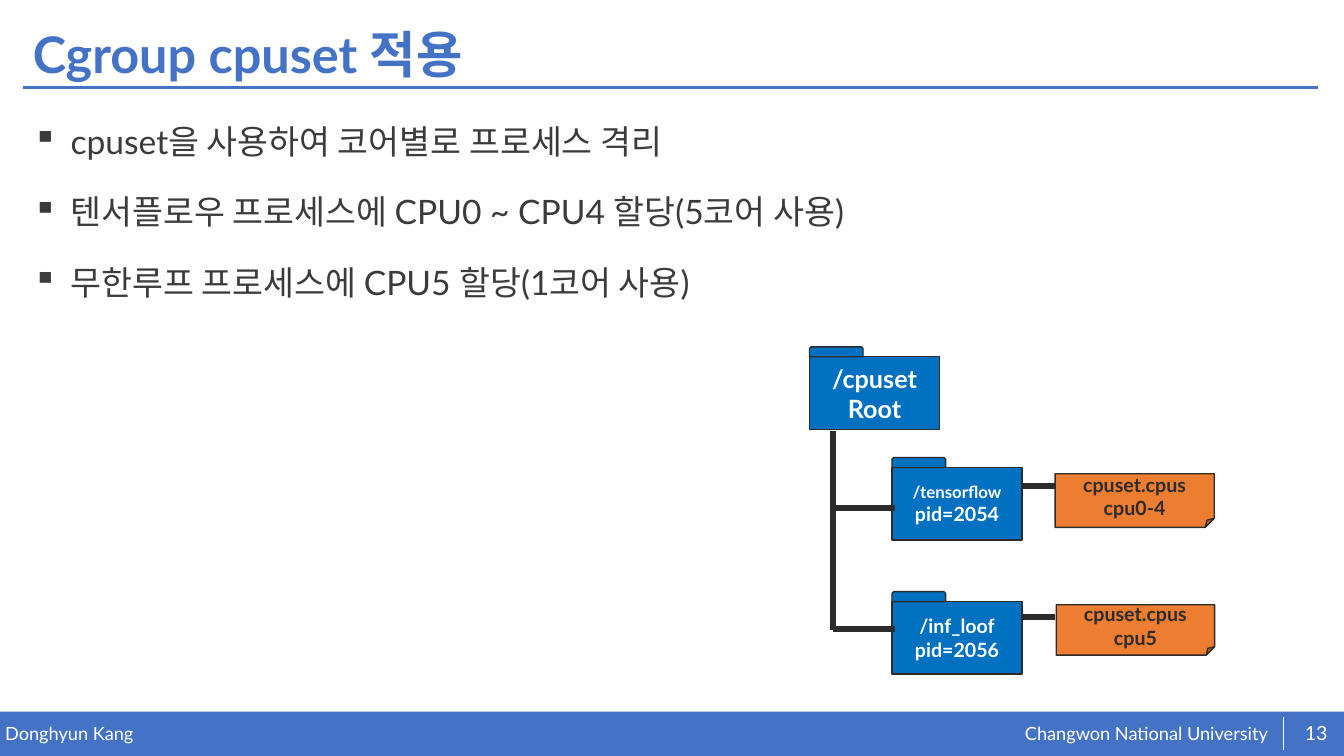
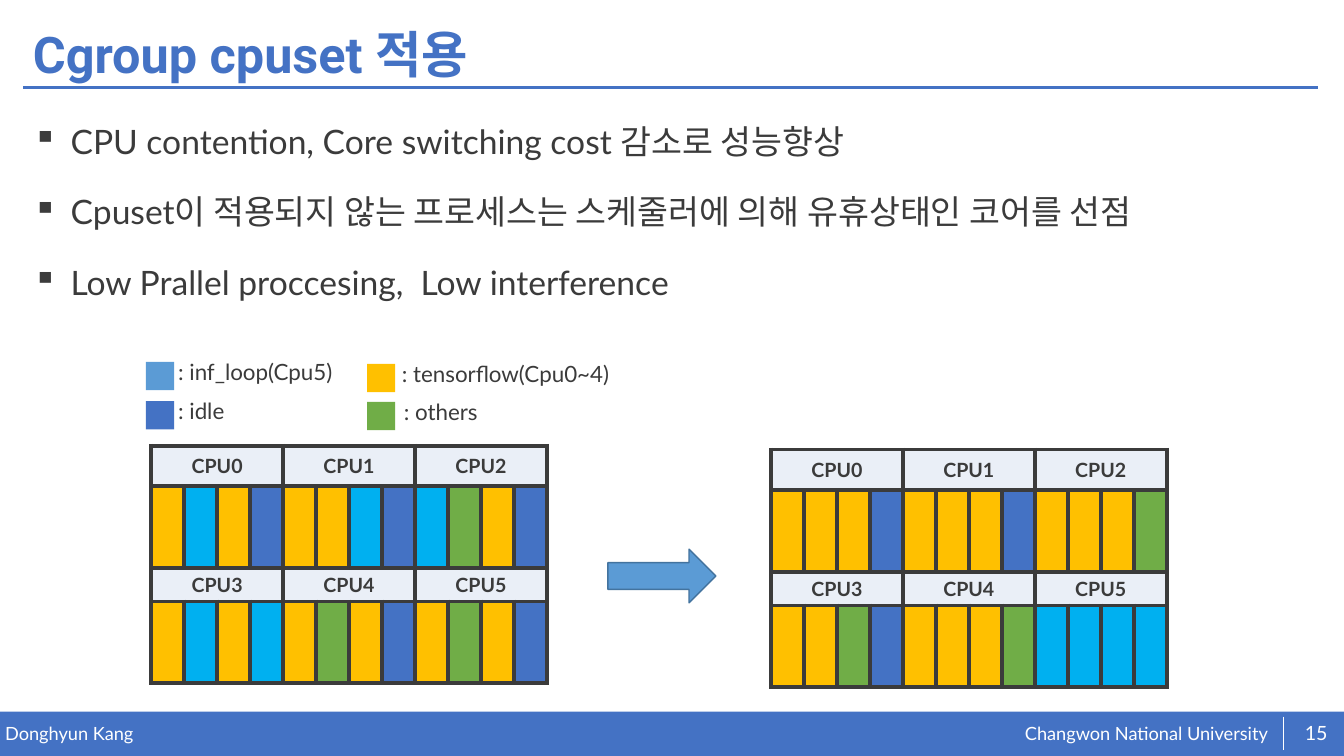
from dataclasses import dataclass
from typing import Optional

from lxml import etree
from pptx import Presentation
from pptx.dml.color import RGBColor
from pptx.enum.shapes import MSO_CONNECTOR, MSO_SHAPE
from pptx.enum.text import MSO_ANCHOR, PP_ALIGN
from pptx.oxml.ns import qn
from pptx.util import Cm, Pt

RECT, TAB = MSO_SHAPE.RECTANGLE, MSO_SHAPE.SNIP_2_SAME_RECTANGLE
NOTE, ARROW = MSO_SHAPE.FOLDED_CORNER, MSO_SHAPE.RIGHT_ARROW
LEFT, CENTER = PP_ALIGN.LEFT, PP_ALIGN.CENTER
TOP, MIDDLE = MSO_ANCHOR.TOP, MSO_ANCHOR.MIDDLE
STRAIGHT = MSO_CONNECTOR.STRAIGHT


# Colours, fonts and type sizes
@dataclass(frozen=True)
class Theme:
    font: str = "Lato"
    blue: str = "4472C4"
    white: str = "FFFFFF"
    text: str = "3B3B3B"
    ink: str = "2C2C2C"
    folder: str = "0070C0"
    orange: str = "ED7D31"
    sky: str = "5B9BD5"
    edge: str = "43739E"
    cyan: str = "00B0F0"
    gold: str = "FFC000"
    green: str = "70AD47"
    pale: str = "EAEFF7"
    title: int = 36
    body: int = 24
    root: int = 18
    key: int = 16
    label: int = 14
    foot: int = 13
    small: int = 12


T = Theme()
CORES = {"t": T.gold, "l": T.cyan, "i": T.blue, "o": T.green}


@dataclass(frozen=True)
class Box:
    x: float
    y: float
    w: float
    h: float

    def lengths(self) -> tuple:
        return Cm(self.x), Cm(self.y), Cm(self.w), Cm(self.h)


@dataclass(frozen=True)
class Line:
    text: str
    size: int
    color: str = T.text
    bold: bool = False
    font: str = T.font


@dataclass(frozen=True)
class Folder:
    x: float
    y: float
    lines: list[Line]


@dataclass(frozen=True)
class Note:
    box: Box
    value: str


@dataclass(frozen=True)
class Key:
    x: float
    y: float
    gap: float
    color: str
    label: str


@dataclass(frozen=True)
class Grid:
    x: float
    y: float
    loads: tuple[str, str]


# Basic drawing
def rgb(code: str) -> RGBColor:
    return RGBColor.from_string(code)


def write(frame, lines: list[Line], align=LEFT, anchor=TOP) -> None:
    frame.word_wrap = True
    frame.vertical_anchor = anchor
    for i, line in enumerate(lines):
        para = frame.add_paragraph() if i else frame.paragraphs[0]
        para.text = line.text
        para.alignment = align
        font = para.font
        font.name, font.size, font.bold = line.font, Pt(line.size), line.bold
        font.color.rgb = rgb(line.color)


def add_text(slide, box: Box, lines: list[Line], align=LEFT, anchor=TOP,
             inset: bool = True):
    frame = slide.shapes.add_textbox(*box.lengths()).text_frame
    if not inset:
        frame.margin_left = frame.margin_right = 0
        frame.margin_top = frame.margin_bottom = 0
    write(frame, lines, align, anchor)
    return frame


def add_form(slide, kind, box: Box, fill: str, edge: Optional[str] = None):
    form = slide.shapes.add_shape(kind, *box.lengths())
    form.shadow.inherit = False
    form.fill.solid()
    form.fill.fore_color.rgb = rgb(fill)
    if edge:
        form.line.color.rgb = rgb(edge)
        form.line.width = Pt(1)
    else:
        form.line.fill.background()
    return form


def add_line(slide, x1: float, y1: float, x2: float, y2: float,
             color: str = T.ink, width: float = 4.5) -> None:
    line = slide.shapes.add_connector(STRAIGHT, Cm(x1), Cm(y1), Cm(x2), Cm(y2))
    line.line.color.rgb = rgb(color)
    line.line.width = Pt(width)
    etree.SubElement(line._element.spPr, qn("a:effectLst"))


# Parts shared by the slides
def add_base(deck, page: int, font: str, points: list[str]):
    slide = deck.slides.add_slide(deck.slide_layouts[6])
    add_form(slide, RECT, Box(0, 17.93, 33.87, 1.12), T.blue)
    for box, text in ((Box(25.83, 18.19, 6.78, 0.58), "Changwon National University"),
                      (Box(0.13, 18.21, 16.64, 0.56), "Donghyun Kang")):
        add_text(slide, box, [Line(text, T.foot, T.white)], inset=False)
    add_line(slide, 0.58, 2.21, 33.22, 2.21, T.blue, 2)
    add_line(slide, 32.33, 18.06, 32.33, 18.9, T.white, 0.5)
    add_text(slide, Box(32.56, 17.96, 1.22, 1.02),
             [Line(str(page), T.label, T.white)], CENTER, MIDDLE, False)

    head = Line("Cgroup cpuset 적용", T.title, T.blue, True, font)
    title = add_text(slide, Box(0.58, 0.46, 32.66, 1.96), [head], anchor=MIDDLE)
    title.paragraphs[0].line_spacing = 0.9

    body = add_text(slide, Box(0.58, 2.51, 32.66, 14.3),
                    [Line(point, T.body) for point in points])
    for para in body.paragraphs:
        para.line_spacing, para.space_before = 1.4, Pt(10)
        props = para._p.get_or_add_pPr()
        props.set("marL", str(Cm(0.95)))
        props.set("indent", str(-Cm(0.95)))
        mark = etree.Element(qn("a:buChar"), char="▪")
        props.find(qn("a:defRPr")).addprevious(mark)
    return slide


# Folder tree
def add_folder(slide, item: Folder) -> None:
    body = add_form(slide, RECT, Box(item.x, item.y + 0.25, 3.28, 1.83),
                    T.folder, T.ink)
    write(body.text_frame, item.lines, CENTER, MIDDLE)
    add_form(slide, TAB, Box(item.x, item.y, 1.35, 0.25), T.folder, T.ink)


def add_note(slide, note: Note) -> None:
    form = add_form(slide, NOTE, note.box, T.orange, T.ink)
    lines = [Line(text, T.label, T.ink, True)
             for text in ("cpuset.cpus", note.value)]
    write(form.text_frame, lines, CENTER, MIDDLE)


# Core usage tables
def paint(cell, color: str) -> None:
    cell.fill.solid()
    cell.fill.fore_color.rgb = rgb(color)
    props = cell._tc.get_or_add_tcPr()
    for i, side in enumerate(("lnL", "lnR", "lnT", "lnB")):
        edge = etree.Element(qn(f"a:{side}"), w=str(Pt(3)))
        fill = etree.SubElement(edge, qn("a:solidFill"))
        etree.SubElement(fill, qn("a:srgbClr"), val=T.text)
        props.insert(i, edge)


def add_grid(slide, grid: Grid) -> None:
    highs = (1.02, 2.06, 0.84, 2.06)
    box = Box(grid.x, grid.y, 9.98, sum(highs))
    table = slide.shapes.add_table(4, 12, *box.lengths()).table
    for col in table.columns:
        col.width = Cm(box.w / 12)
    for row, high in zip(table.rows, highs):
        row.height = Cm(high)
    for half, load in enumerate(grid.loads):
        top = 2 * half
        for col, core in enumerate(load):
            paint(table.cell(top, col), T.pale)
            paint(table.cell(top + 1, col), CORES[core])
        for part in range(3):
            cell = table.cell(top, 4 * part)
            cell.merge(table.cell(top, 4 * part + 3))
            name = Line(f"CPU{3 * half + part}", T.label, bold=True)
            write(cell.text_frame, [name], CENTER)
            cell.vertical_anchor = MIDDLE


def add_key(slide, key: Key) -> None:
    add_form(slide, RECT, Box(key.x, key.y, 0.71, 0.71), key.color)
    add_text(slide, Box(key.x + key.gap, key.y - 0.22, 6.6, 0.94),
             [Line(f": {key.label}", T.key)])


FOLDERS = [
    Folder(20.4, 8.74, [Line("/cpuset", T.root, T.white, True),
                        Line("Root", T.root, T.white, True)]),
    Folder(22.48, 11.53, [Line("/tensorflow", T.small, T.white, True),
                          Line("pid=2054", T.label, T.white, True)]),
    Folder(22.48, 14.91, [Line("/inf_loof", T.label, T.white, True),
                          Line("pid=2056", T.label, T.white, True)]),
]
NOTES = [
    Note(Box(26.59, 11.94, 4.01, 1.35), "cpu0-4"),
    Note(Box(26.62, 15.24, 3.99, 1.27), "cpu5"),
]
KEYS = [
    Key(3.68, 9.12, 0.56, T.sky, "inf_loop(Cpu5)"),
    Key(9.25, 9.17, 0.63, T.gold, "tensorflow(Cpu0~4)"),
    Key(3.68, 10.11, 0.56, T.blue, "idle"),
    Key(9.25, 10.13, 0.68, T.green, "others"),
]
# One letter a slot: t tensorflow, l loop, i idle, o others
GRIDS = [
    Grid(3.81, 11.23, ("tltittliloti", "tltltotitoti")),
    Grid(19.43, 11.33, ("tttitttittto", "ttoitttollll")),
]


def add_tree(deck) -> None:
    slide = add_base(deck, 13, T.font, [
        "cpuset을 사용하여 코어별로 프로세스 격리",
        "텐서플로우 프로세스에 CPU0 ~ CPU4 할당(5코어 사용)",
        "무한루프 프로세스에 CPU5 할당(1코어 사용)",
    ])
    for item in FOLDERS:
        add_folder(slide, item)
    add_line(slide, 21, 10.85, 21, 15.87)
    for y in (12.8, 15.85):
        add_line(slide, 20.98, y, 22.56, y)
    for note in NOTES:
        add_note(slide, note)
    for y in (12.24, 15.54):
        add_line(slide, 25.73, y, 26.59, y)


def add_usage(deck) -> None:
    slide = add_base(deck, 15, "Roboto", [
        "CPU contention, Core switching cost 감소로 성능향상",
        "Cpuset이 적용되지 않는 프로세스는 스케줄러에 의해 유휴상태인 코어를 선점",
        "Low Prallel proccesing,\u00a0 Low interference",
    ])
    for grid in GRIDS:
        add_grid(slide, grid)
    for key in KEYS:
        add_key(slide, key)
    add_form(slide, ARROW, Box(15.32, 13.84, 2.72, 1.35), T.sky, T.edge)


def main() -> None:
    deck = Presentation()
    deck.slide_width, deck.slide_height = Cm(33.87), Cm(19.05)
    add_tree(deck)
    add_usage(deck)
    deck.save("out.pptx")


main()
